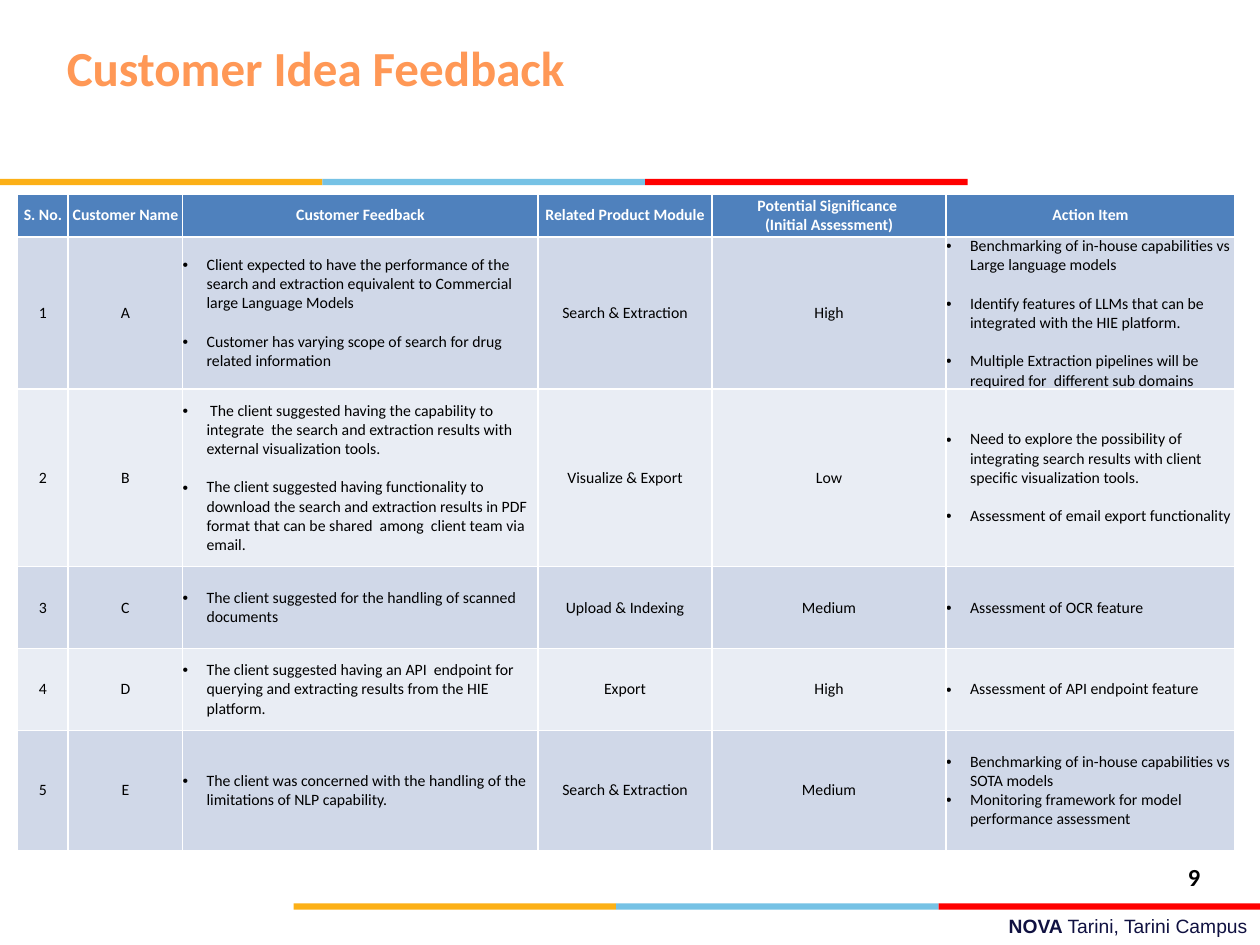
from dataclasses import dataclass

from lxml.etree import SubElement
from pptx import Presentation
from pptx.dml.color import RGBColor
from pptx.enum.shapes import MSO_SHAPE
from pptx.enum.text import MSO_ANCHOR, PP_ALIGN
from pptx.oxml.ns import qn
from pptx.util import Inches, Pt


@dataclass(frozen=True)
class Theme:
    font: str = "Calibri"
    footer_font: str = "Arial"
    title: str = "FF9856"
    footer: str = "101141"
    text: str = "000000"
    white: str = "FFFFFF"
    header: str = "4F81BD"
    bands: tuple[str, ...] = ("D0D8E8", "E9EDF4")
    stripes: tuple[str, ...] = ("FCB017", "76C2E5", "FF0000")
    title_size: float = 28
    number_size: float = 14
    footer_size: float = 11
    table_size: float = 9


@dataclass(frozen=True)
class Feedback:
    customer: str
    comments: tuple[str, ...]
    module: str
    significance: str
    actions: tuple[str, ...]
    height: float
    action_gap: float = 11


T = Theme()
COL_WIDTHS = (0.4, 0.91, 2.82, 1.38, 1.86, 2.29)
HEADER_HEIGHT = 0.34
HEADERS = (
    ("S. No.",),
    ("Customer Name",),
    ("Customer Feedback",),
    ("Related Product Module",),
    ("Potential Significance ", "(Initial Assessment)"),
    ("Action Item",),
)
FEEDBACK = (
    Feedback(
        "A",
        ("Client expected to have the performance of the search and extraction "
         "equivalent to Commercial large Language Models",
         "Customer has varying scope of search for drug related information"),
        "Search & Extraction", "High",
        ("Benchmarking of in-house capabilities vs Large language models",
         "Identify features of LLMs that can be integrated with the HIE platform.",
         "Multiple Extraction pipelines will be required for  different sub domains"),
        1.11,
    ),
    Feedback(
        "B",
        (" The client suggested having the capability to integrate  the search and "
         "extraction results with external visualization tools. ",
         "The client suggested having functionality to  download the search and "
         "extraction results in PDF format that can be shared  among  client team "
         "via email."),
        "Visualize & Export", "Low",
        ("Need to explore the possibility of integrating search results with client "
         "specific visualization tools.",
         "Assessment of email export functionality"),
        1.41,
    ),
    Feedback(
        "C",
        ("The client suggested for the handling of scanned documents ",),
        "Upload & Indexing", "Medium", ("Assessment of OCR feature",), 0.65,
    ),
    Feedback(
        "D",
        ("The client suggested having an API  endpoint for querying and extracting "
         "results from the HIE platform.",),
        "Export", "High", ("Assessment of API endpoint feature",), 0.65,
    ),
    Feedback(
        "E",
        ("The client was concerned with the handling of the limitations of NLP "
         "capability.",),
        "Search & Extraction", "Medium",
        ("Benchmarking of in-house capabilities vs SOTA models",
         "Monitoring framework for model performance assessment"),
        0.95, 0,
    ),
)


def add_run(p, text: str, size: float, color: str, bold: bool = False,
            font: str = T.font) -> None:
    """Append one formatted run to a paragraph."""
    r = p.add_run()
    r.text = text
    r.font.name = font
    r.font.size = Pt(size)
    r.font.bold = bold
    r.font.color.rgb = RGBColor.from_string(color)


def add_bullet(p) -> None:
    """Give a paragraph a hanging round bullet."""
    pPr = p._p.get_or_add_pPr()
    pPr.set("marL", str(Inches(0.19)))
    pPr.set("indent", str(-Inches(0.19)))
    SubElement(pPr, qn("a:buFont"), typeface="Arial")
    SubElement(pPr, qn("a:buChar"), char="•")


def fill_cell(cell, lines: tuple[str, ...], fill: str, color: str = T.text,
              bold: bool = False, bullets: bool = False, gap: float = 0) -> None:
    """Write the lines of a table cell, centred or bulleted."""
    cell.fill.solid()
    cell.fill.fore_color.rgb = RGBColor.from_string(fill)
    cell.vertical_anchor = MSO_ANCHOR.MIDDLE
    cell.margin_left = cell.margin_right = cell.margin_top = cell.margin_bottom = 0
    tf = cell.text_frame
    for i, line in enumerate(lines):
        p = tf.add_paragraph() if i else tf.paragraphs[0]
        p.alignment = PP_ALIGN.LEFT if bullets else PP_ALIGN.CENTER
        if i and gap:
            p.space_before = Pt(gap)
        if bullets:
            add_bullet(p)
        add_run(p, line, T.table_size, color, bold)


def add_stripes(s, left: float, top: float) -> None:
    """Draw the grouped three-colour rule."""
    group = s.shapes.add_group_shape()
    for i, color in enumerate(T.stripes):
        sp = group.shapes.add_shape(
            MSO_SHAPE.RECTANGLE, Inches(left + 2.56 * i), Inches(top),
            Inches(2.56), Inches(0.05))
        sp.shadow.inherit = False
        sp.fill.solid()
        sp.fill.fore_color.rgb = RGBColor.from_string(color)
        sp.line.fill.background()


def add_text_box(s, left: float, top: float, width: float, height: float):
    """Add a wrapping text box and return its first paragraph."""
    tf = s.shapes.add_textbox(
        Inches(left), Inches(top), Inches(width), Inches(height)).text_frame
    tf.word_wrap = True
    return tf.paragraphs[0]


def add_title(s, text: str) -> None:
    """Place and format the title placeholder."""
    sp = s.shapes.title
    sp.left, sp.top, sp.width, sp.height = map(Inches, (0.43, 0.3, 6.69, 0.93))
    tf = sp.text_frame
    tf.vertical_anchor = MSO_ANCHOR.TOP
    tf.margin_top = 0
    p = tf.paragraphs[0]
    p.alignment = PP_ALIGN.LEFT
    add_run(p, text, T.title_size, T.title, True)


def add_feedback_table(s) -> None:
    """Build the customer feedback table."""
    heights = (HEADER_HEIGHT, *(f.height for f in FEEDBACK))
    table = s.shapes.add_table(
        len(heights), len(COL_WIDTHS), Inches(0.14), Inches(1.54),
        Inches(sum(COL_WIDTHS)), Inches(sum(heights))).table
    for col, width in zip(table.columns, COL_WIDTHS):
        col.width = Inches(width)
    for row, height in zip(table.rows, heights):
        row.height = Inches(height)
    for c, lines in enumerate(HEADERS):
        fill_cell(table.cell(0, c), lines, T.header, T.white, True)
    for n, f in enumerate(FEEDBACK, 1):
        band = T.bands[(n - 1) % 2]
        for c, text in ((0, str(n)), (1, f.customer), (3, f.module), (4, f.significance)):
            fill_cell(table.cell(n, c), (text,), band)
        fill_cell(table.cell(n, 2), f.comments, band, bullets=True, gap=11)
        fill_cell(table.cell(n, 5), f.actions, band, bullets=True, gap=f.action_gap)


def main() -> None:
    """Build and save the slide."""
    prs = Presentation()
    prs.slide_width, prs.slide_height = Inches(10), Inches(7.5)
    s = prs.slides.add_slide(prs.slide_layouts[5])
    p = add_text_box(s, 3.58, 7.21, 6.42, 0.29)
    p.alignment = PP_ALIGN.RIGHT
    add_run(p, "NOVA ", T.footer_size, T.footer, True, T.footer_font)
    add_run(p, "Tarini, Tarini Campus", T.footer_size, T.footer, font=T.footer_font)
    add_stripes(s, 2.33, 7.17)
    add_stripes(s, 0, 1.42)
    add_title(s, "Customer Idea Feedback")
    p = add_text_box(s, 9.33, 6.82, 0.67, 0.32)
    p.line_spacing = 0.9
    p.space_after = Pt(6)
    add_run(p, "9", T.number_size, T.text, True)
    add_feedback_table(s)
    prs.save("out.pptx")


if __name__ == "__main__":
    main()
